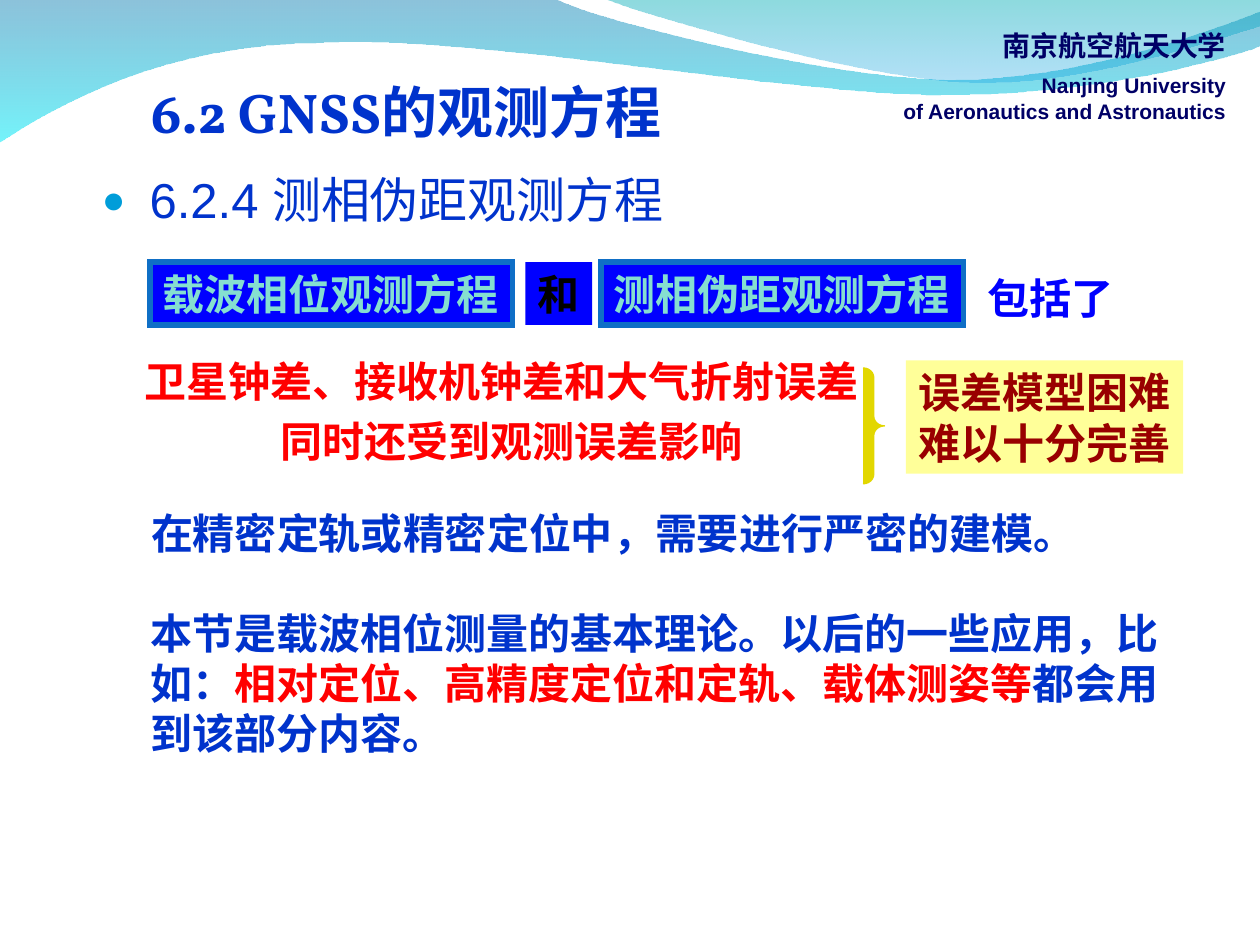
from dataclasses import dataclass
from typing import Optional

from lxml import etree
from pptx import Presentation
from pptx.dml.color import RGBColor
from pptx.enum.shapes import MSO_SHAPE
from pptx.enum.text import MSO_AUTO_SIZE, PP_ALIGN
from pptx.oxml.ns import qn
from pptx.util import Inches, Pt

RECTANGLE = MSO_SHAPE.RECTANGLE
RIGHT_BRACE = MSO_SHAPE.RIGHT_BRACE
FIT_SHAPE = MSO_AUTO_SIZE.SHAPE_TO_FIT_TEXT
LEFT = PP_ALIGN.LEFT
RIGHT = PP_ALIGN.RIGHT


@dataclass(frozen=True)
class Theme:
    navy: str = "000066"
    blue: str = "0033CC"
    bright_blue: str = "0000FF"
    border: str = "0F6FC6"
    mint: str = "85DFD0"
    black: str = "000000"
    red: str = "FF0000"
    maroon: str = "990000"
    pale_yellow: str = "FFFF99"
    gold: str = "E2D700"
    bullet: str = "009DD9"
    title_font: str = "Vollkorn"
    sans: str = "Arial"
    serif: str = "Times New Roman"
    title_size: int = 32
    heading_size: int = 28
    body_size: int = 24
    school_size: int = 16
    school_english_size: int = 12


THEME = Theme()


@dataclass(frozen=True)
class Span:
    text: str
    color: str
    size: int = THEME.body_size
    font: str = THEME.serif
    bold: bool = True


@dataclass(frozen=True)
class TextBlock:
    left: float
    top: float
    width: float
    height: float
    lines: list[list[Span]]
    fill: Optional[str] = None
    border: Optional[str] = None
    wrap: bool = False
    align: PP_ALIGN = LEFT


@dataclass(frozen=True)
class GradientStop:
    color: str
    opacity: int


@dataclass(frozen=True)
class Wave:
    start: tuple[float, float]
    segments: list[tuple[float, ...]]
    stops: tuple[GradientStop, GradientStop]


def rgb(color: str) -> RGBColor:
    return RGBColor.from_string(color)


def curve_segments(shape, wave: Wave) -> None:
    lines = iter(list(shape.element.spPr.iter(qn("a:lnTo"))))
    for segment in wave.segments:
        group = [next(lines) for _ in range(len(segment) // 2)]
        if len(group) == 3:
            curve = etree.Element(qn("a:cubicBezTo"))
            group[0].addprevious(curve)
            for line in group:
                curve.append(line[0])
                line.getparent().remove(line)


def draw_wave(page, wave: Wave) -> None:
    builder = page.shapes.build_freeform(*map(Inches, wave.start), scale=1.0)
    builder.add_line_segments(
        [(Inches(x), Inches(y)) for segment in wave.segments
         for x, y in zip(segment[::2], segment[1::2])], close=True)
    shape = builder.convert_to_shape()
    curve_segments(shape, wave)
    shape.shadow.inherit = False
    shape.line.fill.background()
    shape.fill.gradient()
    shape.fill.gradient_angle = 270
    for target, stop in zip(shape.fill.gradient_stops, wave.stops):
        target.color.rgb = rgb(stop.color)
    colors = shape.element.spPr.iter(qn("a:srgbClr"))
    for color, stop in zip(list(colors), wave.stops):
        etree.SubElement(color, qn("a:alpha"), val=str(stop.opacity * 1000))


def draw_text(page, block: TextBlock):
    bounds = [Inches(n) for n in (block.left, block.top, block.width, block.height)]
    if block.fill:
        box = page.shapes.add_shape(RECTANGLE, *bounds)
        box.shadow.inherit = False
        box.fill.solid()
        box.fill.fore_color.rgb = rgb(block.fill)
        if block.border:
            box.line.color.rgb = rgb(block.border)
            box.line.width = Pt(3)
            etree.SubElement(box.element.spPr.find(qn("a:ln")), qn("a:miter"), lim="800000")
        else:
            box.line.fill.background()
    else:
        box = page.shapes.add_textbox(*bounds)
    frame = box.text_frame
    frame.word_wrap = block.wrap
    if not block.wrap:
        frame.auto_size = FIT_SHAPE
    for index, line in enumerate(block.lines):
        para = frame.add_paragraph() if index else frame.paragraphs[0]
        para.alignment = block.align
        for item in line:
            span = para.add_run()
            span.text = item.text
            span.font.name = item.font
            span.font.size = Pt(item.size)
            span.font.bold = item.bold
            span.font.color.rgb = rgb(item.color)
    return box


def add_bullet(para) -> None:
    properties = para._p.get_or_add_pPr()
    properties.set("marL", str(Inches(0.38)))
    properties.set("indent", str(-Inches(0.38)))
    color = etree.SubElement(properties, qn("a:buClr"))
    etree.SubElement(color, qn("a:srgbClr"), val=THEME.bullet)
    etree.SubElement(properties, qn("a:buSzPct"), val="80000")
    etree.SubElement(properties, qn("a:buFont"), typeface=THEME.sans)
    etree.SubElement(properties, qn("a:buChar"), char="●")
    para.line_spacing = 0.9


def draw_brace(page) -> None:
    brace = page.shapes.add_shape(
        RIGHT_BRACE, Inches(6.85), Inches(2.92), Inches(0.17), Inches(0.92))
    brace.adjustments[0] = 0.45
    brace.shadow.inherit = False
    brace.fill.solid()
    brace.fill.fore_color.rgb = rgb(THEME.gold)
    brace.line.color.rgb = rgb(THEME.gold)
    brace.line.width = Pt(0.75)


WAVES = [
    Wave((0, -0.01),
         [(4.4, -0.01), (4.76, 0.17, 6.64, 0.63, 7.58, 0.63),
          (8.53, 0.63, 9.58, 0.26, 10, 0.09), (10.01, 0.36),
          (9.83, 0.44, 8.7, 0.76, 7.46, 0.75), (6.22, 0.75, 3.82, 0.28, 2.57, 0.34),
          (1.29, 0.35, 0.46, 0.83, -0.01, 1.13)],
         (GradientStop("0079AF", 45), GradientStop("00EBF8", 55))),
    Wave((4.79, -0.01),
         [(5.09, 0.11, 6.82, 0.62, 7.69, 0.65), (8.56, 0.69, 9.61, 0.32, 10, 0.21), (10, 0)],
         (GradientStop("00ADB6", 45), GradientStop("009BE5", 30))),
]

SCHOOL = TextBlock(7.06, 0.18, 2.77, 0.85, [
    [Span("南京航空航天大学", THEME.navy, THEME.school_size, THEME.sans)],
    [Span("Nanjing University", THEME.navy, THEME.school_english_size, THEME.sans)],
    [Span("of Aeronautics and Astronautics", THEME.navy, THEME.school_english_size, THEME.sans)],
], align=RIGHT)
TITLE = TextBlock(1.1, 0.57, 8.5, 0.87, [
    [Span("6.2 GNSS的观测方程", THEME.blue, THEME.title_size, THEME.title_font)]], wrap=True)
HEADING = TextBlock(0.71, 1.35, 4.97, 0.55, [
    [Span("6.2.4 测相伪距观测方程", THEME.blue, THEME.heading_size, THEME.sans, False)]], wrap=True)

BODY = [
    TextBlock(1.19, 2.08, 2.88, 0.5, [[Span("载波相位观测方程", THEME.mint)]],
              THEME.bright_blue, THEME.border),
    TextBlock(4.77, 2.08, 2.88, 0.5, [[Span("测相伪距观测方程", THEME.mint)]],
              THEME.bright_blue, THEME.border),
    TextBlock(4.17, 2.08, 0.53, 0.5, [[Span("和", THEME.black)]], THEME.bright_blue),
    TextBlock(7.74, 2.11, 1.2, 0.5, [[Span("包括了", THEME.bright_blue)]]),
    TextBlock(1.05, 2.77, 5.9, 0.5, [[Span("卫星钟差、接收机钟差和大气折射误差", THEME.red)]]),
    TextBlock(2.13, 3.25, 3.9, 0.5, [[Span("同时还受到观测误差影响", THEME.red)]]),
    TextBlock(7.19, 2.86, 2.2, 0.9, [[Span("误差模型困难", THEME.maroon)],
                                     [Span("难以十分完善", THEME.maroon)]], THEME.pale_yellow),
    TextBlock(1.1, 3.98, 8.25, 0.5, [
        [Span("在精密定轨或精密定位中，需要进行严密的建模。", THEME.blue)]], wrap=True),
    TextBlock(1.1, 4.77, 8.5, 1.3, [[
        Span("本节是载波相位测量的基本理论。以后的一些应用，比如：", THEME.blue),
        Span("相对定位、高精度定位和定轨、载体测姿等", THEME.red),
        Span("都会用到该部分内容。", THEME.blue)]], wrap=True),
]


def main() -> None:
    deck = Presentation()
    deck.slide_width, deck.slide_height = Inches(10), Inches(7.5)
    page = deck.slides.add_slide(deck.slide_layouts[6])
    for wave in WAVES:
        draw_wave(page, wave)
    school = draw_text(page, SCHOOL)
    school.text_frame.paragraphs[0].space_after = Pt(6)
    draw_text(page, TITLE)
    heading = draw_text(page, HEADING)
    add_bullet(heading.text_frame.paragraphs[0])
    for block in BODY:
        draw_text(page, block)
    draw_brace(page)
    deck.save("out.pptx")


if __name__ == "__main__":
    main()
